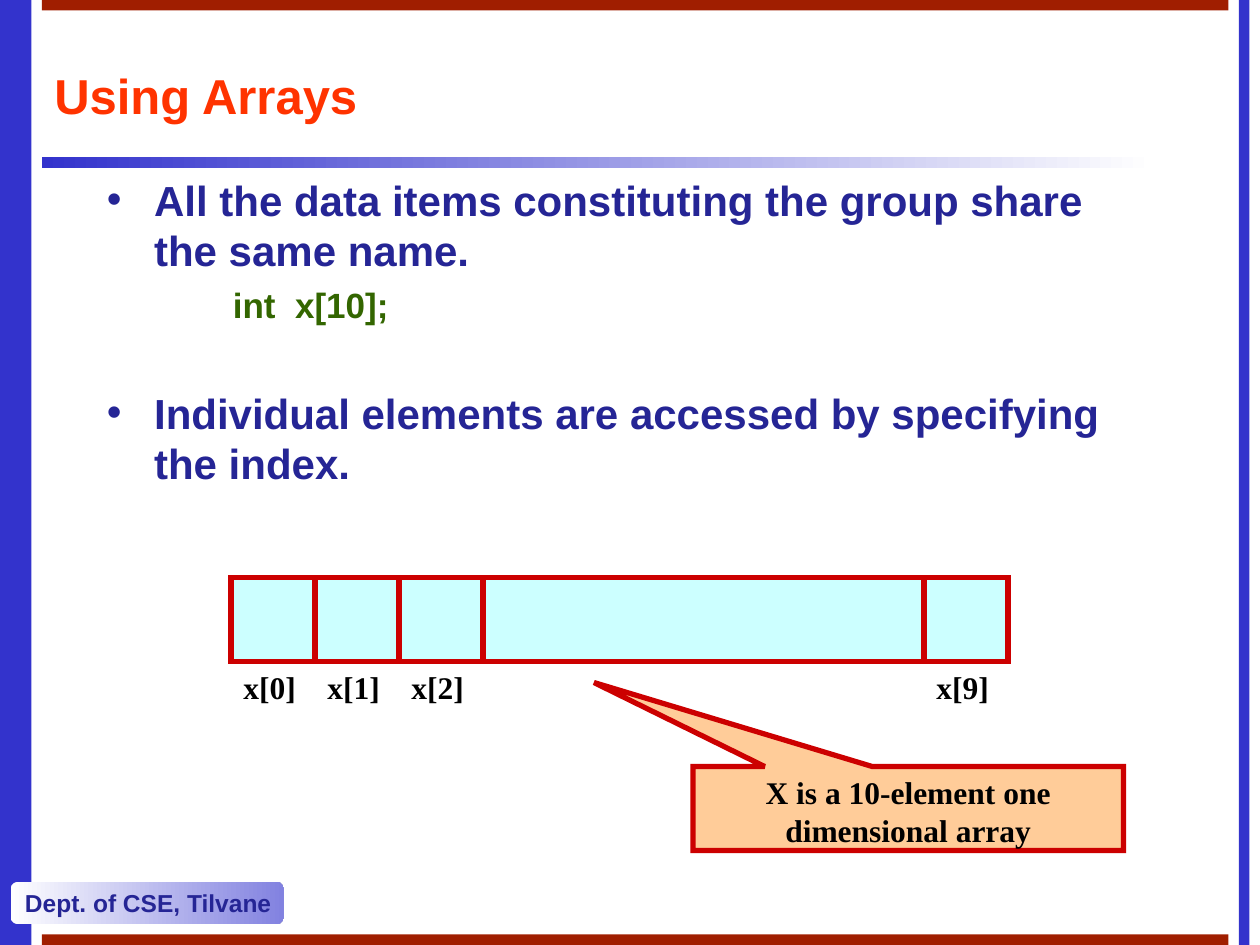
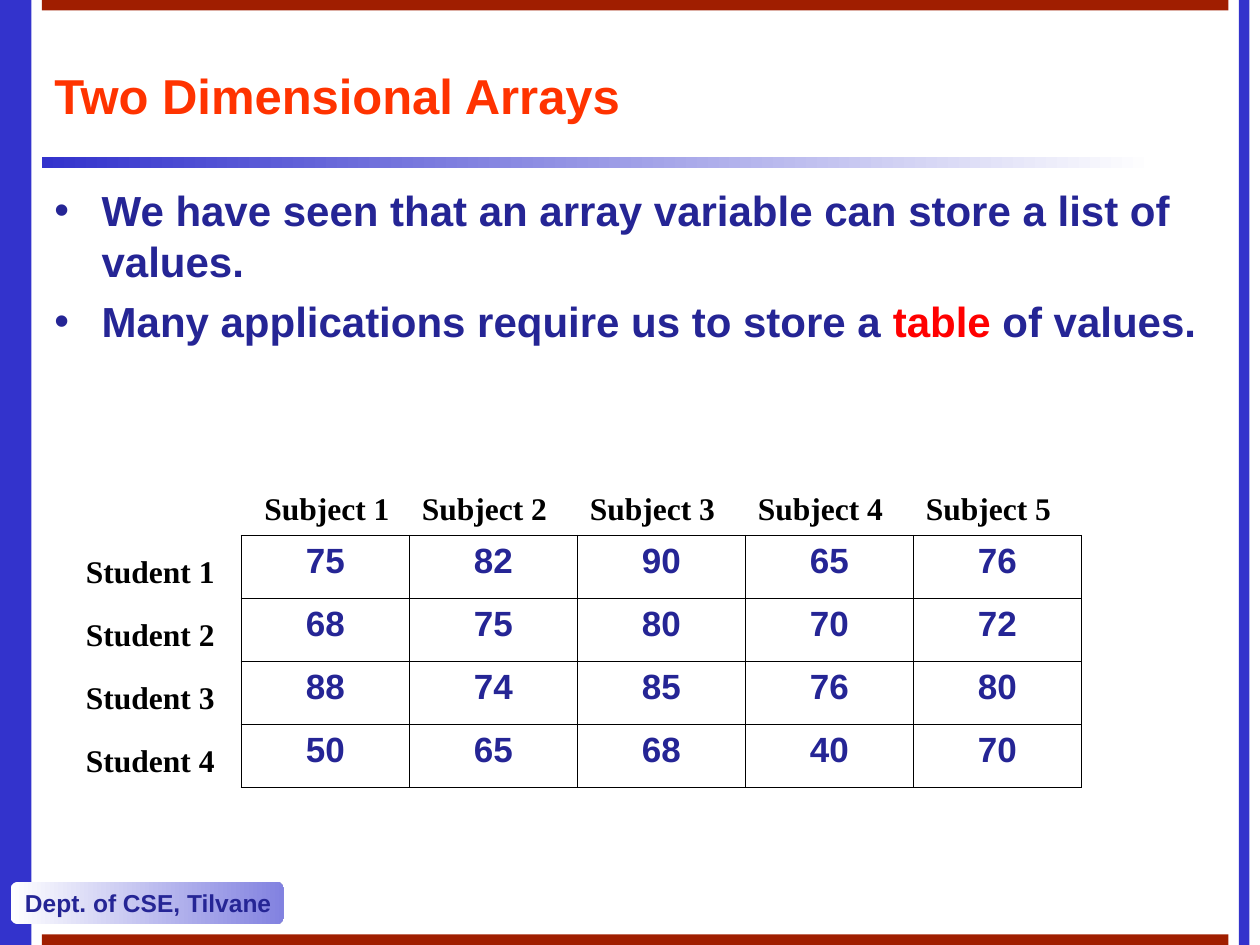
from dataclasses import dataclass, field
from typing import Any, NamedTuple

from lxml import etree
from pptx import Presentation
from pptx import util as u
from pptx.dml.color import RGBColor
from pptx.enum import shapes, text
from pptx.oxml import ns

PX = 7620  # EMU in one px, 120 px to the inch
SHAPE = shapes.MSO_SHAPE
ANCHOR = text.MSO_ANCHOR
ALIGN = text.PP_ALIGN


class Face(NamedTuple):
    """Type style: font, size in points and colour."""
    name: str
    size: int
    color: str


@dataclass(frozen=True)
class Theme:
    blue: str = "3333CC"
    pale: str = "8282E0"
    white: str = "FFFFFF"
    brick: str = "A01E00"
    red: str = "CC0000"
    aqua: str = "CCFFFF"
    peach: str = "FFCC99"
    black: str = "000000"
    hot: str = "FF0000"
    title: Face = Face("Arial", 28, "FF3300")
    body: Face = Face("Arial", 24, "252595")
    code: Face = Face("Arial", 20, "336600")
    cell: Face = Face("Arial", 20, "252595")
    foot: Face = Face("Arial", 14, "252595")
    label: Face = Face("Times New Roman", 18, "000000")
    rule: int = 3
    outer: float = 1.0
    inner: float = 0.45


T = Theme()


class Box(NamedTuple):
    x: int
    y: int
    w: int
    h: int

    def emu(self) -> list[u.Emu]:
        return [u.Emu(v * PX) for v in self]


class Band(NamedTuple):
    box: Box
    fill: tuple[str, ...]  # one colour, or two for a gradient


class Run(NamedTuple):
    words: str
    face: Face


@dataclass
class Para:
    runs: list[Run]
    form: dict[str, Any] = field(default_factory=dict)
    left: int = 0
    dot: bool = False


BANDS = [
    Band(Box(0, 0, 30, 900), (T.blue,)),
    Band(Box(40, 150, 1060, 10), (T.blue, T.white)),
    Band(Box(1180, 0, 10, 900), (T.blue,)),
    Band(Box(40, 0, 1130, 10), (T.brick,)),
    Band(Box(40, 890, 1130, 10), (T.brick,)),
]
HANG = 45  # hanging indent of a bullet


def rgb(code: str) -> RGBColor:
    return RGBColor.from_string(code)


def setall(item: Any, form: dict[str, Any]) -> None:
    for key, value in form.items():
        setattr(item, key, value)


def sub(parent: Any, tag: str, **attrs: str) -> Any:
    return etree.SubElement(parent, ns.qn(tag), attrs)


def write(frame: Any, paras: list[Para], form: dict[str, Any]) -> None:
    setall(frame, form)
    for i, para in enumerate(paras):
        p = frame.paragraphs[0] if i == 0 else frame.add_paragraph()
        setall(p, {"alignment": ALIGN.LEFT} | para.form)
        for words, face in para.runs:
            run = p.add_run()
            run.text = words
            setall(run.font, {"name": face.name, "size": u.Pt(face.size), "bold": True})
            run.font.color.rgb = rgb(face.color)
        props = p._p.get_or_add_pPr()
        if para.left:
            props.set("marL", str(para.left * PX))
        if para.dot:
            props.set("indent", str(-HANG * PX))
            sub(sub(props, "a:buClr"), "a:srgbClr", val=T.body.color)
            sub(props, "a:buFont", typeface=T.body.name)
            sub(props, "a:buChar", char="•")


def note(slide: Any, box: Box, paras: list[Para], anchor: Any = ANCHOR.TOP) -> None:
    frame = slide.shapes.add_textbox(*box.emu()).text_frame
    write(frame, paras, {"word_wrap": True, "vertical_anchor": anchor})


def label(slide: Any, box: Box, words: str) -> None:
    note(slide, box, [Para([Run(words, T.label)])])


def block(slide: Any, kind: Any, box: Box, fill: tuple[str, ...], edge: str = "") -> Any:
    shape = slide.shapes.add_shape(kind, *box.emu())
    shape.shadow.inherit = False
    if len(fill) == 1:
        shape.fill.solid()
        shape.fill.fore_color.rgb = rgb(fill[0])
    else:
        shape.fill.gradient()
        shape.fill.gradient_angle = 0
        for stop, color in zip(shape.fill.gradient_stops, fill):
            stop.color.rgb = rgb(color)
    if edge:
        shape.line.color.rgb = rgb(edge)
        shape.line.width = u.Pt(T.rule)
        sub(shape._element.spPr.find(ns.qn("a:ln")), "a:miter", lim="800000")
    else:
        shape.line.fill.background()
    return shape


def upright(slide: Any, x: int, top: int, end: int) -> None:
    """Draw one divider between array elements."""
    ends = [u.Emu(v * PX) for v in (x, top, x, end)]
    line = slide.shapes.add_connector(shapes.MSO_CONNECTOR.STRAIGHT, *ends)
    line.line.color.rgb = rgb(T.red)
    line.line.width = u.Pt(T.rule)
    sub(line._element.spPr, "a:effectLst")


def start(deck: Any, title: str) -> Any:
    """Add a slide with the shared bands, footer and title."""
    slide = deck.slides.add_slide(deck.slide_layouts[6])
    for band in BANDS:
        block(slide, SHAPE.RECTANGLE, band.box, band.fill)
    foot = block(slide, SHAPE.ROUNDED_RECTANGLE, Box(10, 840, 260, 40), (T.white, T.pale))
    write(foot.text_frame, [Para([Run("Dept. of CSE, Tilvane", T.foot)])],
          {"word_wrap": False, "vertical_anchor": ANCHOR.MIDDLE})
    note(slide, Box(40, 40, 1130, 100), [Para([Run(title, T.title)])], ANCHOR.MIDDLE)
    return slide


def bullet(*runs: Run, gap: int = 6) -> Para:
    return Para(list(runs), {"space_before": u.Pt(gap)}, HANG, True)


def arrays(deck: Any) -> None:
    slide = start(deck, "Using Arrays")
    note(slide, Box(90, 160, 1020, 640), [
        bullet(Run("All the data items constituting the group share the same name.", T.body)),
        Para([Run("int  x[10];", T.code)], {"space_before": u.Pt(5)}, 120),
        bullet(Run("Individual elements are accessed by specifying the index.", T.body), gap=35),
    ])
    row, step = Box(220, 550, 740, 80), 80
    base = row.y + row.h
    cells = {i: row.x + step * i for i in range(3)}
    cells[9] = row.x + row.w - step
    block(slide, SHAPE.RECTANGLE, row, (T.aqua,), T.red)
    for x in (cells[1], cells[2], cells[2] + step, cells[9]):
        upright(slide, x, row.y, base)
    for i, x in cells.items():
        label(slide, Box(x, base, 90, 48), f"x[{i}]")
    call = block(slide, SHAPE.RECTANGULAR_CALLOUT, Box(660, 730, 410, 80), (T.peach,), T.red)
    call.adjustments[0], call.adjustments[1] = -0.73, -1.5
    write(call.text_frame,
          [Para([Run("X is a 10-element one dimensional array", T.label)],
                {"alignment": ALIGN.CENTER})],
          {"word_wrap": True, "vertical_anchor": ANCHOR.TOP})


def border(cell: Any, sides: dict[str, bool]) -> None:
    """Line each side of a cell, heavier where it is on the table's rim."""
    props = cell._tc.get_or_add_tcPr()
    for i, (side, rim) in enumerate(sides.items()):
        width = u.Pt(T.outer if rim else T.inner)
        line = etree.Element(ns.qn(f"a:ln{side}"), w=str(int(width)))
        sub(sub(line, "a:solidFill"), "a:srgbClr", val=T.black)
        props.insert(i, line)


def marks(slide: Any, box: Box, scores: list[list[int]]) -> None:
    rows, cols = len(scores), len(scores[0])
    table = slide.shapes.add_table(rows, cols, *box.emu()).table
    setall(table, {"first_row": False, "horz_banding": False})
    for r, line in enumerate(scores):
        for c, score in enumerate(line):
            cell = table.cell(r, c)
            cell.fill.background()
            write(cell.text_frame,
                  [Para([Run(str(score), T.cell)], {"alignment": ALIGN.CENTER})], {})
            border(cell, {"L": c == 0, "R": c == cols - 1, "T": r == 0, "B": r == rows - 1})


def grids(deck: Any) -> None:
    slide = start(deck, "Two Dimensional Arrays")
    note(slide, Box(40, 170, 1130, 660), [
        bullet(Run("We have seen that an array variable can store a list of values.", T.body)),
        bullet(Run("Many applications require us to store a ", T.body),
               Run("table", T.body._replace(color=T.hot)),
               Run(" of values.", T.body)),
    ])
    scores = [
        [75, 82, 90, 65, 76],
        [68, 75, 80, 70, 72],
        [88, 74, 85, 76, 80],
        [50, 65, 68, 40, 70],
    ]
    wide, tall = 160, 60
    box = Box(230, 510, wide * len(scores[0]), tall * len(scores))
    marks(slide, box, scores)
    for i in range(len(scores)):
        label(slide, Box(70, box.y + 10 + tall * i, wide, 48), f"Student {i + 1}")
    for i in range(len(scores[0])):
        label(slide, Box(max(240, box.x + wide * i), 460, wide, 48), f"Subject {i + 1}")


def main() -> None:
    deck = Presentation()
    setall(deck, {"slide_width": u.Emu(1200 * PX), "slide_height": u.Emu(900 * PX)})
    arrays(deck)
    grids(deck)
    deck.save("out.pptx")


if __name__ == "__main__":
    main()
